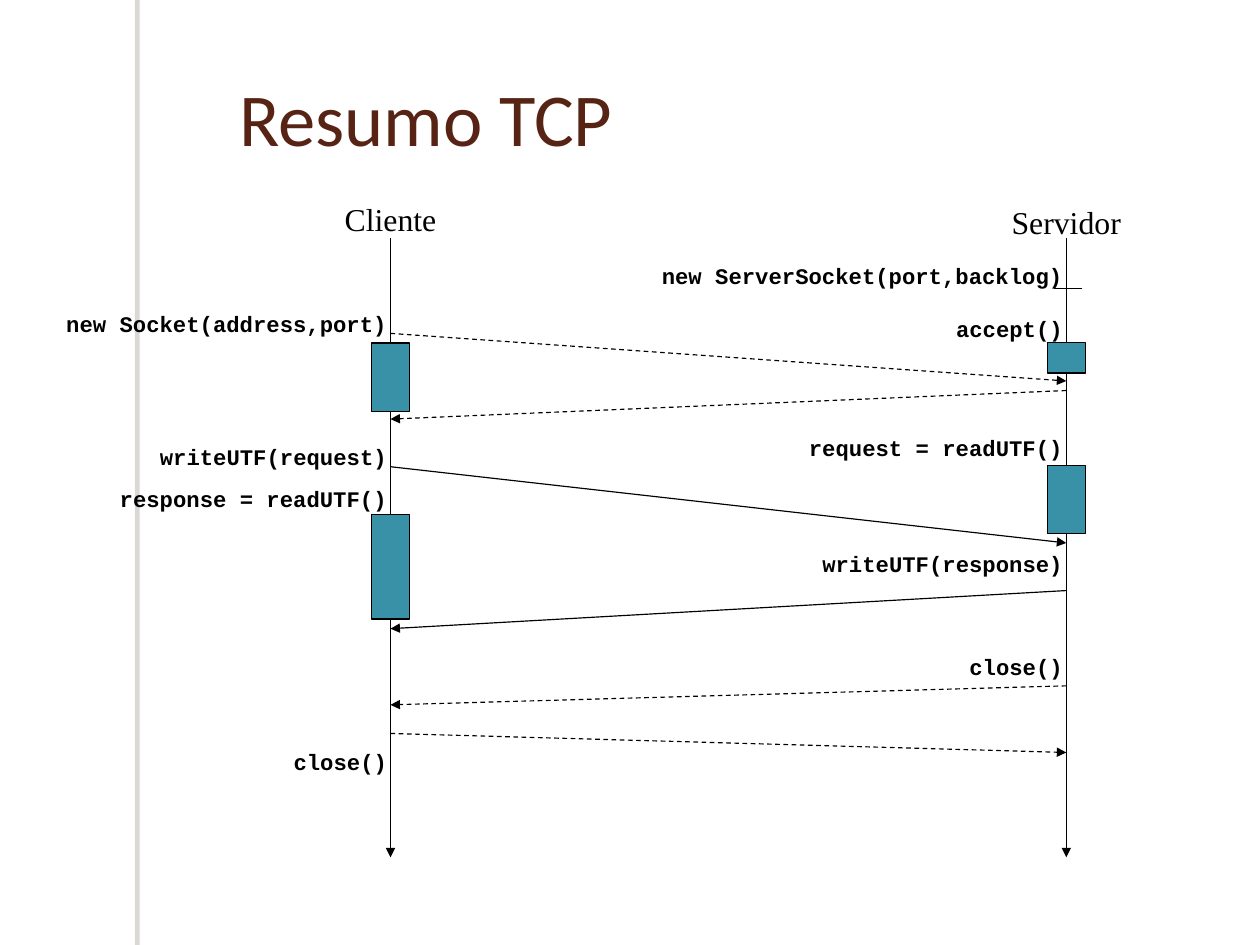
from lxml import etree
from pptx import Presentation
from pptx.dml.color import RGBColor
from pptx.enum.dml import MSO_LINE
from pptx.enum.shapes import MSO_CONNECTOR, MSO_SHAPE
from pptx.enum.text import MSO_ANCHOR, PP_ALIGN
from pptx.oxml.ns import qn
from pptx.util import Pt

STRAIGHT = MSO_CONNECTOR.STRAIGHT
RECTANGLE = MSO_SHAPE.RECTANGLE
DASH = MSO_LINE.DASH
TOP, MIDDLE = MSO_ANCHOR.TOP, MSO_ANCHOR.MIDDLE
LEFT, CENTER, RIGHT = PP_ALIGN.LEFT, PP_ALIGN.CENTER, PP_ALIGN.RIGHT

BLACK = RGBColor(0, 0, 0)
WHITE = RGBColor(255, 255, 255)
BROWN = RGBColor(0x57, 0x23, 0x14)
TEAL = RGBColor(0x38, 0x91, 0xA7)
SHADOW = RGBColor(0x70, 0x6B, 0x5F)

SLIDE_WIDTH, SLIDE_HEIGHT = 793.75, 595.25
LINE_WIDTH = 0.74
CHAR_WIDTH = 8.4  # one Courier New character at 14 pt
LABEL_MARGIN = 20  # both insets and a little slack
BAR_WIDTH = 24

# Vertical positions are offsets from the top of the lifelines.
CLIENT = {
    "name": ("Cliente", -28),
    "calls": [("new Socket(address,port)", 42), ("writeUTF(request)", 126),
              ("response = readUTF()", 152), ("close()", 318)],
    "bars": [(66, 43), (174, 66)],
}
SERVER = {
    "name": ("Servidor", -26),
    "calls": [("new ServerSocket(port,backlog)", 12), ("accept()", 45),
              ("request = readUTF()", 120), ("writeUTF(response)", 193),
              ("close()", 258)],
    "bars": [(66, 19), (143, 43)],
}
# start, end, sent by the client, dashed
MESSAGES = [(60, 90, True, True), (96, 114, False, True),
            (144, 192, True, False), (222, 246, False, False),
            (282, 294, False, True), (312, 324, True, True)]


def add_text(slide, box, text, font, size, color=BLACK, bold=False,
             align=LEFT, anchor=TOP):
    """Add a one-line text box."""
    sp = slide.shapes.add_textbox(*map(Pt, box))
    tf = sp.text_frame
    tf.text = text
    tf.word_wrap = True
    tf.vertical_anchor = anchor
    p = tf.paragraphs[0]
    p.alignment = align
    f = p.runs[0].font
    f.name, f.size, f.bold = font, Pt(size), bold
    f.color.rgb = color


def add_line(slide, x1, y1, x2, y2, arrow=True, dashed=False):
    """Add a thin black line, with an arrowhead at its end if wanted."""
    line = slide.shapes.add_connector(STRAIGHT, *map(Pt, (x1, y1, x2, y2)))
    line.line.width = Pt(LINE_WIDTH)
    line.line.color.rgb = BLACK
    if dashed:
        line.line.dash_style = DASH
    if arrow:
        etree.SubElement(line.line._get_or_add_ln(), qn("a:tailEnd"),
                         type="triangle")
    etree.SubElement(line._element.spPr, qn("a:effectLst"))


def add_rect(slide, box, fill):
    """Add a filled rectangle without line or shadow."""
    sp = slide.shapes.add_shape(RECTANGLE, *map(Pt, box))
    sp.shadow.inherit = False
    sp.fill.solid()
    sp.fill.fore_color.rgb = fill
    sp.line.fill.background()
    return sp


def add_side_strip(slide, box):
    """Add the white strip that casts a pale shadow to its left."""
    sp = add_rect(slide, box, WHITE)
    effects = sp._element.spPr.find(qn("a:effectLst"))
    shadow = etree.SubElement(effects, qn("a:outerShdw"), blurRad="0",
                              dist=str(Pt(3)), dir="10800000",
                              algn="tl", rotWithShape="0")
    color = etree.SubElement(shadow, qn("a:srgbClr"), val=str(SHADOW))
    etree.SubElement(color, qn("a:alpha"), val="25000")


def add_lifeline(slide, x, top, height, role):
    """Add one participant: name, lifeline, calls and activity bars."""
    add_line(slide, x, top, x, top + height)
    name, name_y = role["name"]
    add_text(slide, (x - 45, top + name_y, 90, 32), name,
             "Times New Roman", 20, align=CENTER)
    for call, y in role["calls"]:
        width = len(call) * CHAR_WIDTH + LABEL_MARGIN
        add_text(slide, (x + 5 - width, top + y, width, 24.5), call,
                 "Courier New", 14, bold=True, align=RIGHT)
    for y, bar_height in role["bars"]:
        bar = add_rect(slide, (x - BAR_WIDTH / 2, top + y,
                               BAR_WIDTH, bar_height), TEAL)
        bar.line.color.rgb = BLACK
        bar.line.width = Pt(LINE_WIDTH)


def add_sequence(slide, box):
    """Add the sequence diagram, with the lifelines on the box's sides."""
    left, top, width, height = box
    right = left + width
    for start, end, from_client, dashed in MESSAGES:
        x1, x2 = (left, right) if from_client else (right, left)
        add_line(slide, x1, top + start, x2, top + end, dashed=dashed)
    add_lifeline(slide, left, top, height, CLIENT)
    add_lifeline(slide, right, top, height, SERVER)
    add_line(slide, right + 10, top + 32, right - 8, top + 32, arrow=False)


prs = Presentation()
prs.slide_width, prs.slide_height = Pt(SLIDE_WIDTH), Pt(SLIDE_HEIGHT)
slide = prs.slides.add_slide(prs.slide_layouts[6])
add_side_strip(slide, (88, 0, 6.5, SLIDE_HEIGHT))
add_text(slide, (143.5, 24, 650, 99), "Resumo TCP", "Calibri", 47, BROWN,
         anchor=MIDDLE)
add_sequence(slide, (246, 150, 425.75, 390))
prs.save("out.pptx")
